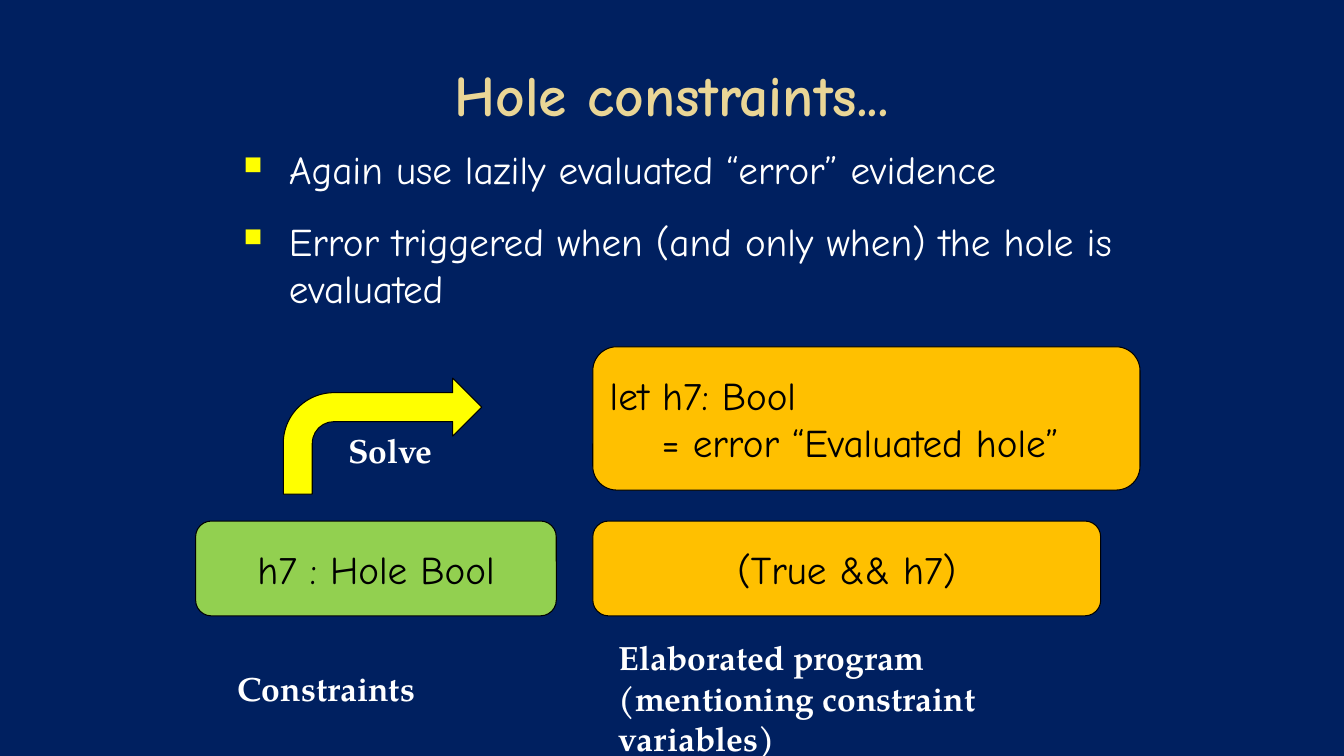
from lxml.etree import SubElement
from pptx import Presentation
from pptx.dml.color import RGBColor
from pptx.enum.shapes import MSO_SHAPE
from pptx.enum.text import MSO_ANCHOR, PP_ALIGN
from pptx.oxml.ns import qn
from pptx.util import Cm, Pt

WIDE, HIGH = 33.87, 19.05
NAVY, GOLD, WHITE, BLACK = "002060", "EAD696", "FFFFFF", "000000"
AMBER, GREEN, YELLOW = "FFC000", "92D050", "FFFF00"

HAND, BOOK = "Comic Neue", "TeX Gyre Pagella"
LEFT, MID = PP_ALIGN.LEFT, PP_ALIGN.CENTER
TOP, CORE = MSO_ANCHOR.TOP, MSO_ANCHOR.MIDDLE
ROUND, BENT = MSO_SHAPE.ROUNDED_RECTANGLE, MSO_SHAPE.BENT_ARROW

FORMS = {
    "title": ({"name": HAND, "size": Pt(41), "bold": True}, GOLD, MID, CORE),
    "list": ({"name": HAND, "size": Pt(28), "bold": False}, WHITE, LEFT, TOP),
    "code": ({"name": HAND, "size": Pt(28), "bold": False}, BLACK, LEFT, CORE),
    "term": ({"name": HAND, "size": Pt(28), "bold": False}, BLACK, MID, CORE),
    "label": ({"name": BOOK, "size": Pt(24), "bold": True}, WHITE, LEFT, TOP),
}

COL, ROW, TALL = 14.94, 13.13, 2.39
SHAPES = [
    (ROUND, AMBER, (COL, ROW, 12.8, TALL), "term", ["(True && h7)"]),
    (ROUND, GREEN, (4.93, ROW, 9.09, TALL), "term", ["h7 : Hole Bool"]),
    (BENT, YELLOW, (7.14, 9.53, 5, 2.92), "term", []),
    (ROUND, AMBER, (COL, 8.74, 13.79, 3.61), "code",
     ["let h7: Bool", "= error “Evaluated hole”"]),
]
TEXTS = [
    ((1.69, 0.76, 30.48, 3.18), "title", ["Hole constraints..."]),
    ((5.74, 16.71, 5.03, 1.27), "label", ["Constraints"]),
    ((15.34, 15.93, 13.51, 2.31), "label",
     ["Elaborated program", "(mentioning constraint variables)"]),
    ((8.53, 10.72, 2.69, 1.27), "label", ["Solve"]),
    ((5.51, 3.53, 22.86, 6.2), "list",
     ["Again use lazily evaluated “error” evidence",
      "Error triggered when (and only when) the hole is evaluated"]),
]


def paint(fill, tone):
    fill.solid()
    fill.fore_color.rgb = RGBColor.from_string(tone)


def indent(para, left, first=0):
    props = para._p.get_or_add_pPr()
    props.set("marL", str(Cm(left)))
    props.set("indent", str(Cm(first)))
    return props


def bullet(para):
    props = indent(para, 1.52, -1.14)
    tint = SubElement(props, qn("a:buClr"))
    SubElement(tint, qn("a:srgbClr"), val=YELLOW)
    SubElement(props, qn("a:buSzPct"), val="65000")
    SubElement(props, qn("a:buChar"), char="■")


def write(shape, form, lines):
    font, tone, align, anchor = FORMS[form]
    frame = shape.text_frame
    frame.word_wrap = True
    frame.vertical_anchor = anchor
    for i, line in enumerate(lines):
        para = frame.add_paragraph() if i else frame.paragraphs[0]
        para.alignment = align
        run = para.add_run()
        run.text = line
        for key, value in font.items():
            setattr(run.font, key, value)
        paint(run.font.fill, tone)
        if form == "list":
            para.space_before = Pt(18)
            bullet(para)
        elif form == "code" and i:
            indent(para, 1.31)


def main():
    deck = Presentation()
    deck.slide_width, deck.slide_height = Cm(WIDE), Cm(HIGH)
    slide = deck.slides.add_slide(deck.slide_layouts[6])
    paint(slide.background.fill, NAVY)
    for kind, tone, box, form, lines in SHAPES:
        shape = slide.shapes.add_shape(kind, *map(Cm, box))
        shape.shadow.inherit = False
        paint(shape.fill, tone)
        paint(shape.line.fill, BLACK)
        shape.line.width = Pt(0.75)
        write(shape, form, lines)
    for box, form, lines in TEXTS:
        write(slide.shapes.add_textbox(*map(Cm, box)), form, lines)
    deck.save("out.pptx")


if __name__ == "__main__":
    main()
